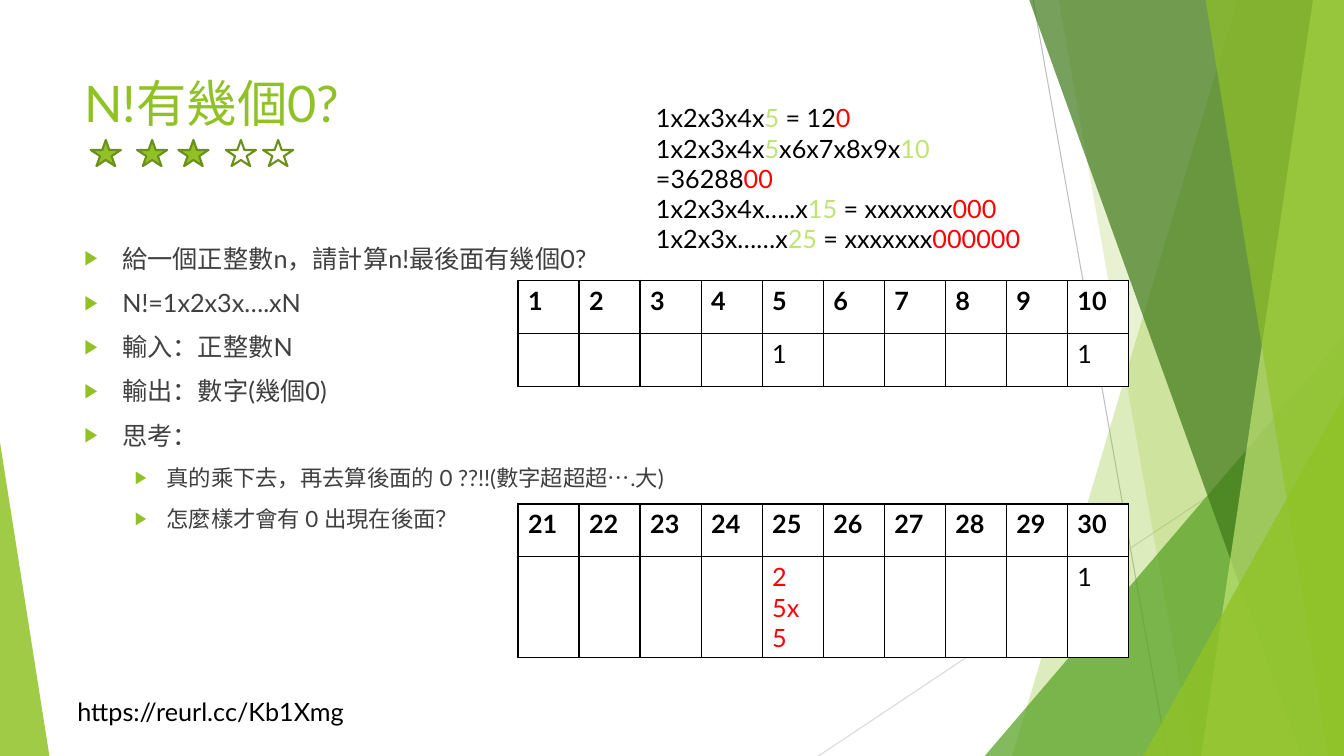
"""Build the slide about counting the trailing zeros of N!."""
from dataclasses import dataclass
from typing import NamedTuple, Optional

from lxml.etree import SubElement
from pptx import Presentation
from pptx.dml.color import RGBColor
from pptx.enum.shapes import MSO_CONNECTOR as Connector, MSO_SHAPE as Preset
from pptx.oxml.ns import qn
from pptx.util import Pt

GREEN, LIME, RED, BLACK, GRAY = "90C226", "C0E474", "FF0000", "000000", "404040"
FONT = "Lato"
WIDTH, HEIGHT = 960, 540


class Span(NamedTuple):
    text: str
    color: str = BLACK


@dataclass
class Ray:
    start: tuple[float, float]
    end: tuple[float, float]
    color: str


@dataclass
class Band:
    top: float
    bottom: float
    color: str
    opacity: int


@dataclass
class Wedge:
    left: float
    top: float
    width: float
    apex: int
    color: str
    opacity: int


@dataclass
class Star:
    left: float
    filled: bool


@dataclass
class ZeroTable:
    top: float
    first: int
    zeros: dict[int, list[Span]]


@dataclass
class Item:
    text: str
    level: int = 0


DECOR = [
    Ray((738, 0), (833.8, HEIGHT), "BFBFBF"),
    Ray((WIDTH, 290), (584.6, HEIGHT), "D9D9D9"),
    Band(884, 723, GREEN, 30),
    Band(756, 852, GREEN, 20),
    Wedge(703.4, 240, 256.6, 1, "54A021", 72),
    Band(735, 929.5, "3F7819", 70),
    Band(938, 858, LIME, 70),
    Band(861, 949, GREEN, 65),
    Wedge(816.6, 283, 143.4, 1, GREEN, 80),
    Wedge(0, 316, 35.3, 0, GREEN, 85),
]
STARS = [Star(64.8, True), Star(97.9, True), Star(127.4, True), Star(161.3, False), Star(187.9, False)]
TABLES = [
    ZeroTable(200.2, 1, {5: [Span("1")], 10: [Span("1")]}),
    ZeroTable(360, 21, {25: [Span("2", RED), Span("5x5", RED)], 30: [Span("1")]}),
]
ITEMS = [
    Item("給一個正整數n，請計算n!最後面有幾個0?"),
    Item("N!=1x2x3x….xN"),
    Item("輸入：正整數N"),
    Item("輸出：數字(幾個0)"),
    Item("思考："),
    Item("真的乘下去，再去算後面的 0 ??!!(數字超超超….大)", 1),
    Item("怎麼樣才會有 0 出現在後面？", 1),
]
EXAMPLES = [
    [Span("1x2x3x4x"), Span("5", LIME), Span(" = 12"), Span("0", RED)],
    [Span("1x2x3x4x"), Span("5", LIME), Span("x6x7x8x9x"), Span("10", LIME), Span(" =36288"), Span("00", RED)],
    [Span("1x2x3x4x…..x"), Span("15", LIME), Span(" = xxxxxxx"), Span("000", RED)],
    [Span("1x2x3x……x"), Span("25", LIME), Span(" = xxxxxxx"), Span("000000", RED)],
]


def rgb(color: str) -> RGBColor:
    return RGBColor.from_string(color)


def paint(shape, color: Optional[str], opacity: int = 100, outline: Optional[str] = None) -> None:
    shape.shadow.inherit = False
    if color:
        shape.fill.solid()
        shape.fill.fore_color.rgb = rgb(color)
        if opacity < 100:
            tint = shape.fill._xPr.find(qn("a:solidFill"))[0]
            SubElement(tint, qn("a:alpha"), val=str(opacity * 1000))
    else:
        shape.fill.background()
    if outline:
        shape.line.color.rgb = rgb(outline)
        shape.line.width = Pt(1.5)
    else:
        shape.line.fill.background()


def draw_decor(page, part) -> None:
    if isinstance(part, Ray):
        ends = [Pt(value) for value in (*part.start, *part.end)]
        line = page.shapes.add_connector(Connector.STRAIGHT, *ends)
        line.line.color.rgb = rgb(part.color)
        line.line.width = Pt(0.75)
        SubElement(line._element.spPr, qn("a:effectLst"))
        return
    if isinstance(part, Band):
        outline = page.shapes.build_freeform(Pt(part.top), Pt(-0.7), 1.0)
        corners = [(WIDTH, -0.7), (WIDTH, HEIGHT), (part.bottom, HEIGHT)]
        outline.add_line_segments([(Pt(x), Pt(y)) for x, y in corners], close=True)
        shape = outline.convert_to_shape()
    else:
        shape = page.shapes.add_shape(Preset.ISOSCELES_TRIANGLE, Pt(part.left), Pt(part.top),
                                      Pt(part.width), Pt(HEIGHT - part.top))
        shape.adjustments[0] = part.apex
    paint(shape, part.color, part.opacity)


def draw_star(page, star: Star) -> None:
    shape = page.shapes.add_shape(Preset.STAR_5_POINT, Pt(star.left), Pt(100), Pt(21.6), Pt(18.7))
    paint(shape, GREEN if star.filled else None, outline="6B901C")


def write(para, spans: list[Span], *, size: float = 18, bold: bool = False) -> None:
    for span in spans:
        run = para.add_run()
        run.text = span.text
        run.font.name = FONT
        run.font.size = Pt(size)
        run.font.bold = bold
        run.font.color.rgb = rgb(span.color)


def add_lines(frame, lines: list[list[Span]], **style) -> None:
    for index, spans in enumerate(lines):
        write(frame.add_paragraph() if index else frame.paragraphs[0], spans, **style)


def add_box(page, left: float, top: float, width: float, height: float):
    frame = page.shapes.add_textbox(Pt(left), Pt(top), Pt(width), Pt(height)).text_frame
    frame.word_wrap = True
    return frame


def add_bullet(para, level: int) -> None:
    para.level = level
    props = para._p.get_or_add_pPr()
    props.set("marL", str(Pt((27, 58.5)[level])))
    props.set("indent", str(-Pt((27, 22.5)[level])))
    SubElement(SubElement(props, qn("a:buClr")), qn("a:srgbClr"), val=GREEN)
    SubElement(props, qn("a:buSzPct"), val="80000")
    SubElement(props, qn("a:buFont"), typeface="Arial")
    SubElement(props, qn("a:buChar"), char="▶")


def add_items(frame, items: list[Item]) -> None:
    for index, item in enumerate(items):
        para = frame.add_paragraph() if index else frame.paragraphs[0]
        add_bullet(para, item.level)
        if index:
            para.space_before = Pt(10)
        write(para, [Span(item.text, GRAY)], size=(18, 16)[item.level])


def frame_cell(cell) -> None:
    cell.fill.solid()
    cell.fill.fore_color.rgb = rgb("FFFFFF")
    props = cell._tc.get_or_add_tcPr()
    for index, side in enumerate(("lnL", "lnR", "lnT", "lnB")):
        border = SubElement(props, qn(f"a:{side}"), w=str(Pt(1)))
        SubElement(SubElement(border, qn("a:solidFill")), qn("a:srgbClr"), val=BLACK)
        props.insert(index, border)


def draw_table(page, data: ZeroTable) -> None:
    table = page.shapes.add_table(2, 10, Pt(370), Pt(data.top), Pt(436), Pt(75.6)).table
    table.first_row = table.horz_banding = False
    for index, column in enumerate(table.columns):
        column.width = Pt(43.6)
        number = data.first + index
        head, count = table.cell(0, index), table.cell(1, index)
        add_lines(head.text_frame, [[Span(str(number))]], bold=True)
        add_lines(count.text_frame, [[span] for span in data.zeros.get(number, [])])
        frame_cell(head)
        frame_cell(count)


def main() -> None:
    deck = Presentation()
    deck.slide_width, deck.slide_height = Pt(WIDTH), Pt(HEIGHT)
    page = deck.slides.add_slide(deck.slide_layouts[6])
    for part in DECOR:
        draw_decor(page, part)
    add_lines(add_box(page, 48.2, 494, 220.3, 28.8), [[Span("https://reurl.cc/Kb1Xmg")]])
    add_lines(add_box(page, 53.3, 48, 676.8, 104), [[Span("N!有幾個0?", GREEN)]], size=36)
    add_items(add_box(page, 53.3, 170, 676.8, 305), ITEMS)
    for star in STARS:
        draw_star(page, star)
    for data in TABLES:
        draw_table(page, data)
    add_lines(add_box(page, 461.5, 69.8, 283.7, 94.3), EXAMPLES)
    deck.save("out.pptx")


if __name__ == "__main__":
    main()
